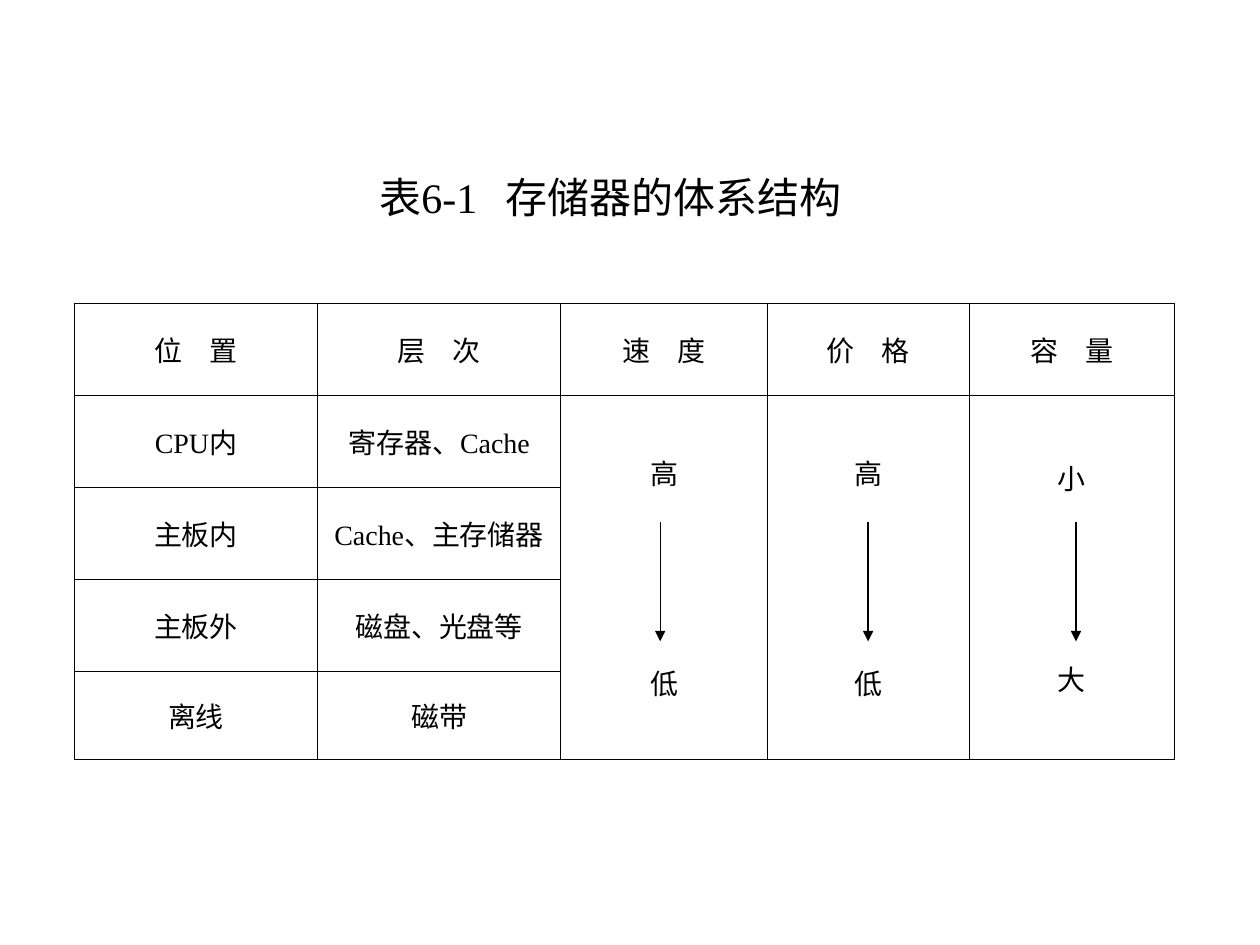
import pptx
import pptx.dml.color
import pptx.enum.shapes
import pptx.enum.text
import pptx.oxml
import pptx.oxml.ns
import pptx.util
from lxml import etree

Inches = pptx.util.Inches
Pt = pptx.util.Pt
qn = pptx.oxml.ns.qn

FONT = "Times New Roman"
INK = "000000"
COLUMNS = [1.93, 1.93, 1.64, 1.6, 1.63]
ROWS = [0.73, 0.73, 0.73, 0.73, 0.7]
HEADINGS = ["位 置", "层 次", "速 度", "价 格", "容 量"]
LEVELS = [
    ("CPU内", "寄存器、Cache"),
    ("主板内", "Cache、主存储器"),
    ("主板外", "磁盘、光盘等"),
    ("离线", "磁带"),
]
# Top word, bottom word, gap between them in points
TRENDS = [("高", "低", 97), ("高", "低", 97), ("小", "大", 92)]


def color(value):
    return pptx.dml.color.RGBColor.from_string(value)


def add_span(para, text, size):
    span = para.add_run()
    span.text = text
    for name, value in {"name": FONT, "size": Pt(size)}.items():
        setattr(span.font, name, value)
    span.font.color.rgb = color(INK)
    return span


def add_title(page, box):
    frame = page.shapes.add_textbox(*map(Inches, box)).text_frame
    settings = {"word_wrap": True, "margin_right": Inches(0.18)}
    for name, value in settings.items():
        setattr(frame, name, value)
    para = frame.paragraphs[0]
    para.alignment = pptx.enum.text.PP_ALIGN.CENTER
    tabs = etree.SubElement(para._p.get_or_add_pPr(), qn("a:tabLst"))
    etree.SubElement(tabs, qn("a:tab"), pos=str(Inches(1)), algn="l")
    add_span(para, "表6-1\t存储器的体系结构", 24)


def outline_cell(cell):
    cell.fill.background()
    properties = cell._tc.get_or_add_tcPr()
    for index, side in enumerate(["lnL", "lnR", "lnT", "lnB"]):
        line = etree.Element(qn("a:" + side), w=str(Pt(0.45)))
        fill = etree.SubElement(line, qn("a:solidFill"))
        etree.SubElement(fill, qn("a:srgbClr"), val=INK)
        properties.insert(index, line)


def cell_para(cell, first=True):
    cell.vertical_anchor = pptx.enum.text.MSO_ANCHOR.MIDDLE
    frame = cell.text_frame
    para = frame.paragraphs[0] if first else frame.add_paragraph()
    para.alignment = pptx.enum.text.PP_ALIGN.CENTER
    return para


def add_heading(cell, text):
    """Spread the two characters of a heading apart."""
    para = cell_para(cell)
    spread = add_span(para, text[:2], 16)
    spread.font._element.set("spc", "600")
    add_span(para, text[2:], 16)


def add_trend(cell, top, bottom, gap):
    add_span(cell_para(cell), top, 16)
    para = cell_para(cell, first=False)
    para.space_before = Pt(gap)
    add_span(para, bottom, 16)


def add_memory_table(page, box):
    frame = page.shapes.add_table(len(ROWS), len(COLUMNS), *map(Inches, box))
    table = frame.table
    for name in ("first_row", "horz_banding"):
        setattr(table, name, False)
    for column, width in zip(table.columns, COLUMNS):
        column.width = Inches(width)
    for row, height in zip(table.rows, ROWS):
        row.height = Inches(height)
    for cell in table.iter_cells():
        outline_cell(cell)

    for index, heading in enumerate(HEADINGS):
        add_heading(table.cell(0, index), heading)
    for row, level in enumerate(LEVELS, start=1):
        for column, text in enumerate(level):
            add_span(cell_para(table.cell(row, column)), text, 16)
    for column, trend in enumerate(TRENDS, start=2):
        cell = table.cell(1, column)
        cell.merge(table.cell(len(ROWS) - 1, column))
        add_trend(cell, *trend)


def add_trend_arrows(page, box):
    """Space one downward arrow per trend evenly across the box."""
    left, top, width, height = box
    step = width / (len(TRENDS) - 1)
    for index in range(len(TRENDS)):
        x = Inches(left + index * step)
        arrow = page.shapes.add_connector(
            pptx.enum.shapes.MSO_CONNECTOR.STRAIGHT,
            x, Inches(top), x, Inches(top + height))
        arrow.line.width = Pt(0.75)
        arrow.line.color.rgb = color(INK)
        etree.SubElement(arrow.line._get_or_add_ln(), qn("a:tailEnd"), type="triangle")
        etree.SubElement(arrow._element.spPr, qn("a:effectLst"))


def main():
    deck = pptx.Presentation()
    deck.slide_width, deck.slide_height = Inches(10), Inches(7.5)
    page = deck.slides.add_slide(deck.slide_layouts[6])
    add_memory_table(page, (0.59, 2.41, sum(COLUMNS), sum(ROWS)))
    add_trend_arrows(page, (5.24, 4.14, 3.3, 0.95))
    add_title(page, (0.83, 1.31, 8.11, 0.5))
    deck.save("out.pptx")


if __name__ == "__main__":
    main()
